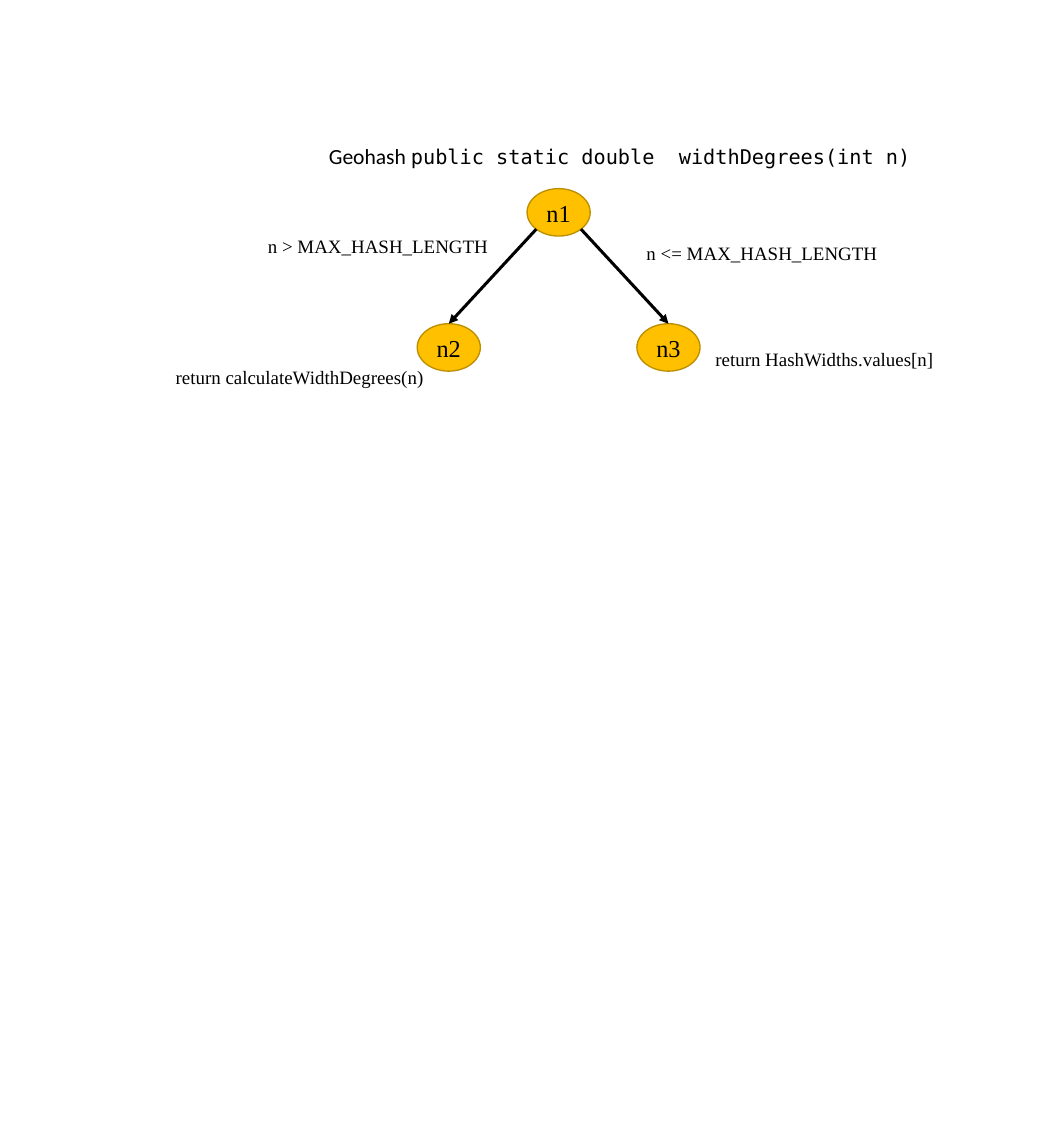
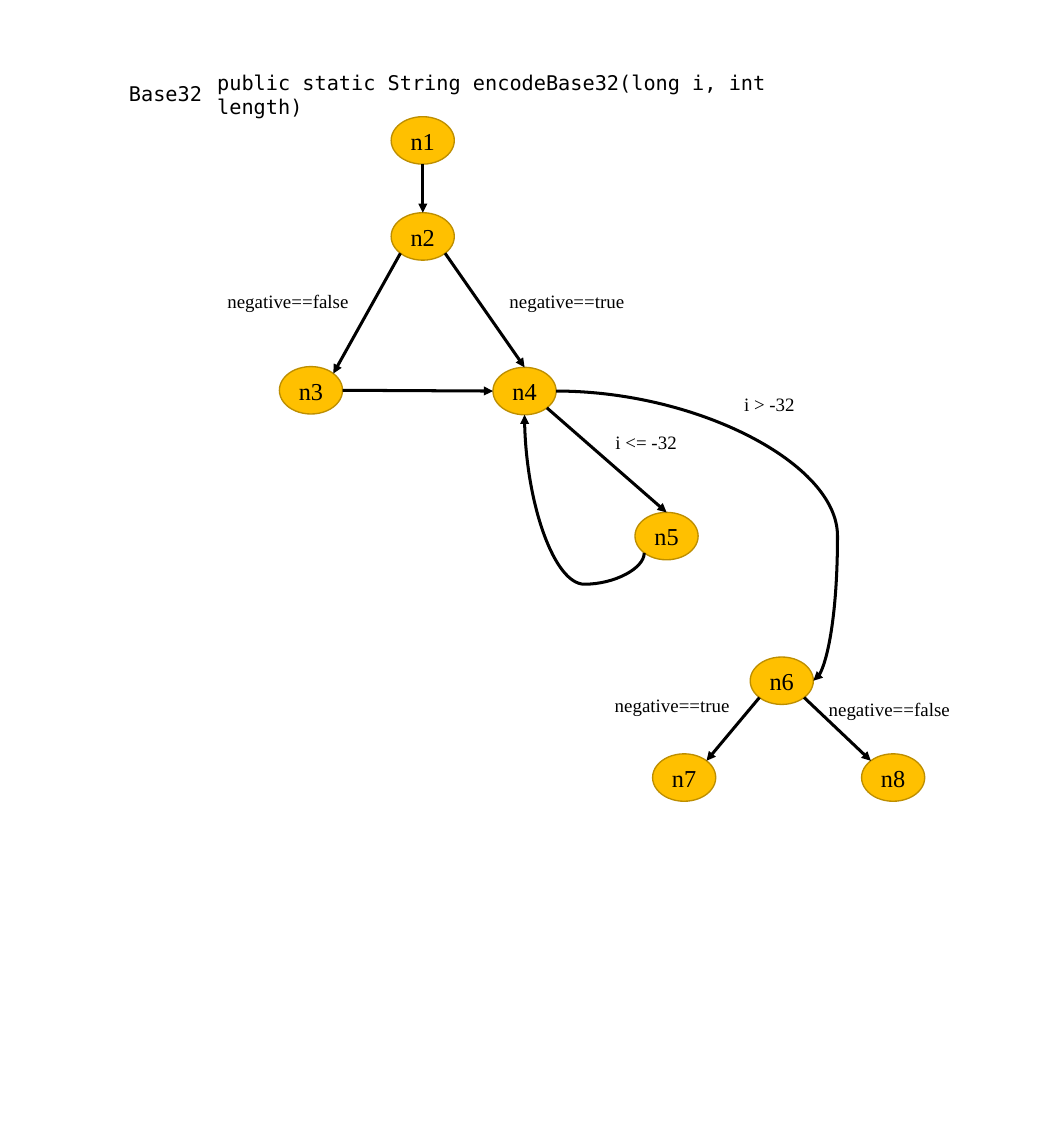
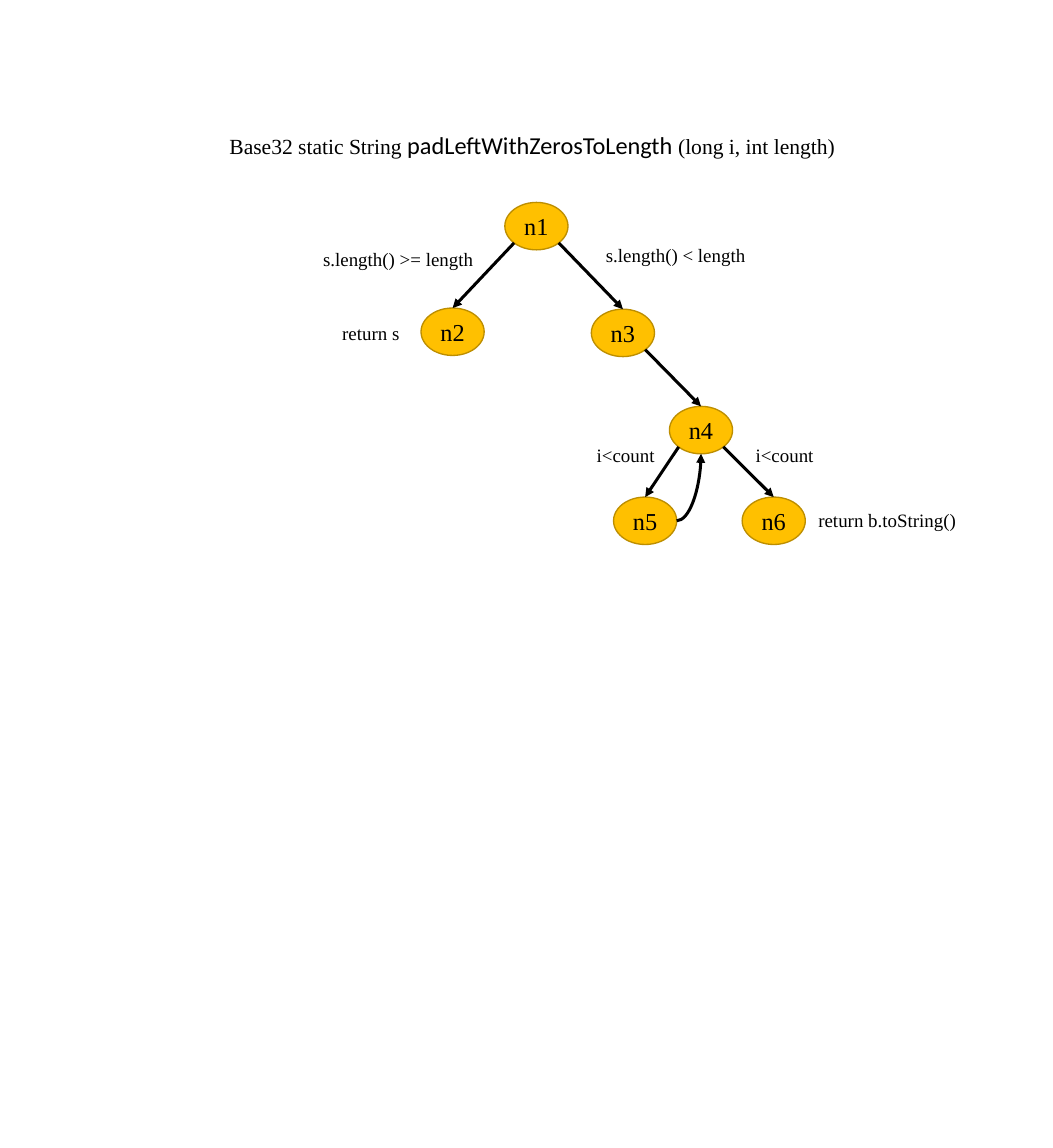
from math import sqrt

from lxml.etree import SubElement
from pptx import Presentation
from pptx.dml.color import RGBColor
from pptx.enum.shapes import MSO_CONNECTOR, MSO_SHAPE
from pptx.enum.text import MSO_ANCHOR, MSO_AUTO_SIZE, PP_ALIGN
from pptx.oxml.ns import qn
from pptx.util import Cm, Pt

OVAL = MSO_SHAPE.OVAL
STRAIGHT = MSO_CONNECTOR.STRAIGHT
CURVE = MSO_CONNECTOR.CURVE
LEFT = PP_ALIGN.LEFT
CENTER = PP_ALIGN.CENTER
MIDDLE = MSO_ANCHOR.MIDDLE
NO_AUTOFIT = MSO_AUTO_SIZE.NONE

SERIF = "Times New Roman"
SANS = "Calibri"
MONO = "DejaVu Sans Mono"
AMBER = "FFC000"
BROWN = "BD8E00"
BLACK = "000000"

NODE_WIDTH = 1.65
NODE_HEIGHT = 1.24
LABEL_HEIGHT = 0.86
TITLE_ONLY = 5

TOP, TOP_LEFT, LEFT_SIDE, BOTTOM_LEFT, BOTTOM, BOTTOM_RIGHT, RIGHT_SIDE, TOP_RIGHT = range(8)
DIAGONAL = sqrt(0.5)
SITE_DIRECTIONS = [
    (0, -1), (-DIAGONAL, -DIAGONAL), (-1, 0), (-DIAGONAL, DIAGONAL),
    (0, 1), (DIAGONAL, DIAGONAL), (1, 0), (DIAGONAL, -DIAGONAL),
]

GRAPHS = [
    {
        "title": [("Geohash ", SANS, 16),
                  ("public static double  widthDegrees(int n)", MONO, 15)],
        "title_box": (8.34, 3.61, 15.95, 0.94),
        "nodes": {"n1": (13.77, 4.93), "n2": (10.9, 8.46), "n3": (16.64, 8.46)},
        "edges": [("n1", BOTTOM_LEFT, "n2", TOP), ("n1", BOTTOM_RIGHT, "n3", TOP)],
        "curves": [],
        "labels": [
            ("n > MAX_HASH_LENGTH", 6.75, 6.01, 6.43),
            ("n <= MAX_HASH_LENGTH", 16.64, 6.17, 6.58),
            ("return calculateWidthDegrees(n)", 4.34, 9.42, 7.21),
            ("return HashWidths.values[n]", 18.44, 8.95, 6.25),
        ],
    },
    {
        "title": [("public static String encodeBase32(long i, int length)", MONO, 15)],
        "title_box": (5.42, 2.02, 16.08, 0.89),
        "class": ("Base32", 3.12, 2, 2.6),
        "nodes": {
            "n1": (10.22, 3.05), "n2": (10.22, 5.56), "n3": (7.3, 9.58), "n4": (12.88, 9.6),
            "n5": (16.59, 13.39), "n6": (19.6, 17.17), "n7": (17.05, 19.7), "n8": (22.51, 19.7),
        },
        "edges": [
            ("n1", BOTTOM, "n2", TOP),
            ("n2", BOTTOM_LEFT, "n3", TOP_RIGHT),
            ("n2", BOTTOM_RIGHT, "n4", TOP),
            ("n3", RIGHT_SIDE, "n4", LEFT_SIDE),
            ("n4", BOTTOM_RIGHT, "n5", TOP),
            ("n6", BOTTOM_LEFT, "n7", TOP_RIGHT),
            ("n6", BOTTOM_RIGHT, "n8", TOP_LEFT),
        ],
        "curves": [
            ("n4", RIGHT_SIDE, "n6", RIGHT_SIDE, "curvedConnector3", 109400, False),
            ("n5", BOTTOM_LEFT, "n4", BOTTOM, "curvedConnector3", -22700, True),
        ],
        "labels": [
            ("negative==false", 5.69, 7.44, 3.71),
            ("negative==true", 13.06, 7.44, 3.53),
            ("i > -32", 19.19, 10.13, 1.85),
            ("i <= -32", 15.83, 11.13, 2.13),
            ("negative==true", 15.81, 18, 3.66),
            ("negative==false", 21.4, 18.1, 3.71),
        ],
    },
    {
        "title": [("Base32 static String ", SERIF, 16),
                  ("padLeftWithZerosToLength ", SANS, 18),
                  ("(long i, int length)", SERIF, 16)],
        "title_box": (5.74, 3.28, 17.7, 1.02),
        "nodes": {
            "n1": (13.19, 5.29), "n2": (11, 8.05), "n3": (15.45, 8.08),
            "n4": (17.49, 10.62), "n5": (16.03, 12.99), "n6": (19.39, 12.99),
        },
        "edges": [
            ("n1", BOTTOM_LEFT, "n2", TOP),
            ("n1", BOTTOM_RIGHT, "n3", TOP),
            ("n3", BOTTOM_RIGHT, "n4", TOP),
            ("n4", BOTTOM_LEFT, "n5", TOP),
            ("n4", BOTTOM_RIGHT, "n6", TOP),
        ],
        "curves": [("n5", RIGHT_SIDE, "n4", BOTTOM, "curvedConnector2", None, False)],
        "labels": [
            ("s.length() >= length", 8.19, 6.35, 4.47),
            ("s.length() < length", 15.58, 6.24, 4.19),
            ("i<count", 19.49, 11.45, 2.03),
            ("i<count", 15.34, 11.47, 2.03),
            ("return b.toString()", 21.13, 13.16, 4.14),
            ("return s", 8.69, 8.28, 2.03),
        ],
    },
]


def color(hex_code):
    return RGBColor.from_string(hex_code)


def write(frame, text, font_name, size, alignment):
    frame.vertical_anchor = MIDDLE
    paragraph = frame.paragraphs[0]
    paragraph.text = text
    paragraph.alignment = alignment
    paragraph.font.name = font_name
    paragraph.font.size = Pt(size)
    paragraph.font.color.rgb = color(BLACK)


prs = Presentation()
prs.slide_width = Cm(27.51)
prs.slide_height = Cm(30)

for graph in GRAPHS:
    slide = prs.slides.add_slide(prs.slide_layouts[TITLE_ONLY])

    title = slide.shapes.title
    title.left, title.top, title.width, title.height = map(Cm, graph["title_box"])
    title.text_frame.auto_size = NO_AUTOFIT
    title.text_frame.word_wrap = True
    title.text_frame.vertical_anchor = MIDDLE
    signature = title.text_frame.paragraphs[0]
    signature.alignment = LEFT
    signature.font.color.rgb = color(BLACK)
    for text, font_name, size in graph["title"]:
        part = signature.add_run()
        part.text = text
        part.font.name = font_name
        part.font.size = Pt(size)

    nodes = {}
    for name, (left, top) in graph["nodes"].items():
        node = slide.shapes.add_shape(OVAL, Cm(left), Cm(top), Cm(NODE_WIDTH), Cm(NODE_HEIGHT))
        node.shadow.inherit = False
        node.fill.solid()
        node.fill.fore_color.rgb = color(AMBER)
        node.line.color.rgb = color(BROWN)
        node.line.width = Pt(1)
        node.text_frame.word_wrap = False
        write(node.text_frame, name, SERIF, 18, CENTER)
        nodes[name] = node

    straight_edges = [(*edge, "line", None, False) for edge in graph["edges"]]
    for source, exit_site, target, entry_site, preset, bend, turned in straight_edges + graph["curves"]:
        ends = []
        for name, site in ((source, exit_site), (target, entry_site)):
            left, top = graph["nodes"][name]
            across, down = SITE_DIRECTIONS[site]
            ends.append((left + NODE_WIDTH / 2 * (1 + across), top + NODE_HEIGHT / 2 * (1 + down)))
        (x1, y1), (x2, y2) = ends
        if turned:
            mid_x, mid_y = (x1 + x2) / 2, (y1 + y2) / 2
            half_x, half_y = (y2 - y1) / 2, (x1 - x2) / 2
            x1, y1, x2, y2 = mid_x - half_x, mid_y - half_y, mid_x + half_x, mid_y + half_y
        kind = STRAIGHT if preset == "line" else CURVE
        arrow = slide.shapes.add_connector(kind, Cm(x1), Cm(y1), Cm(x2), Cm(y2))
        arrow.line.color.rgb = color(BLACK)
        arrow.line.width = Pt(2.25)
        properties = arrow._element.spPr
        SubElement(properties.find(qn("a:ln")), qn("a:tailEnd"), type="triangle")
        SubElement(properties, qn("a:effectLst"))
        geometry = properties.find(qn("a:prstGeom"))
        geometry.set("prst", preset)
        if bend is not None:
            SubElement(geometry.find(qn("a:avLst")), qn("a:gd"), name="adj1", fmla=f"val {bend}")
        if turned:
            properties.find(qn("a:xfrm")).set("rot", "5400000")
        joints = arrow._element.find(".//" + qn("p:cNvCxnSpPr"))
        for tag, name, site in (("a:stCxn", source, exit_site), ("a:endCxn", target, entry_site)):
            SubElement(joints, qn(tag), id=str(nodes[name].shape_id), idx=str(site))

    captions = [(*label, SERIF, 14) for label in graph["labels"]]
    if "class" in graph:
        captions.append((*graph["class"], MONO, 15))
    for text, left, top, width, font_name, size in captions:
        caption = slide.shapes.add_textbox(Cm(left), Cm(top), Cm(width), Cm(LABEL_HEIGHT))
        caption.text_frame.word_wrap = False
        write(caption.text_frame, text, font_name, size, LEFT)

prs.save("out.pptx")
